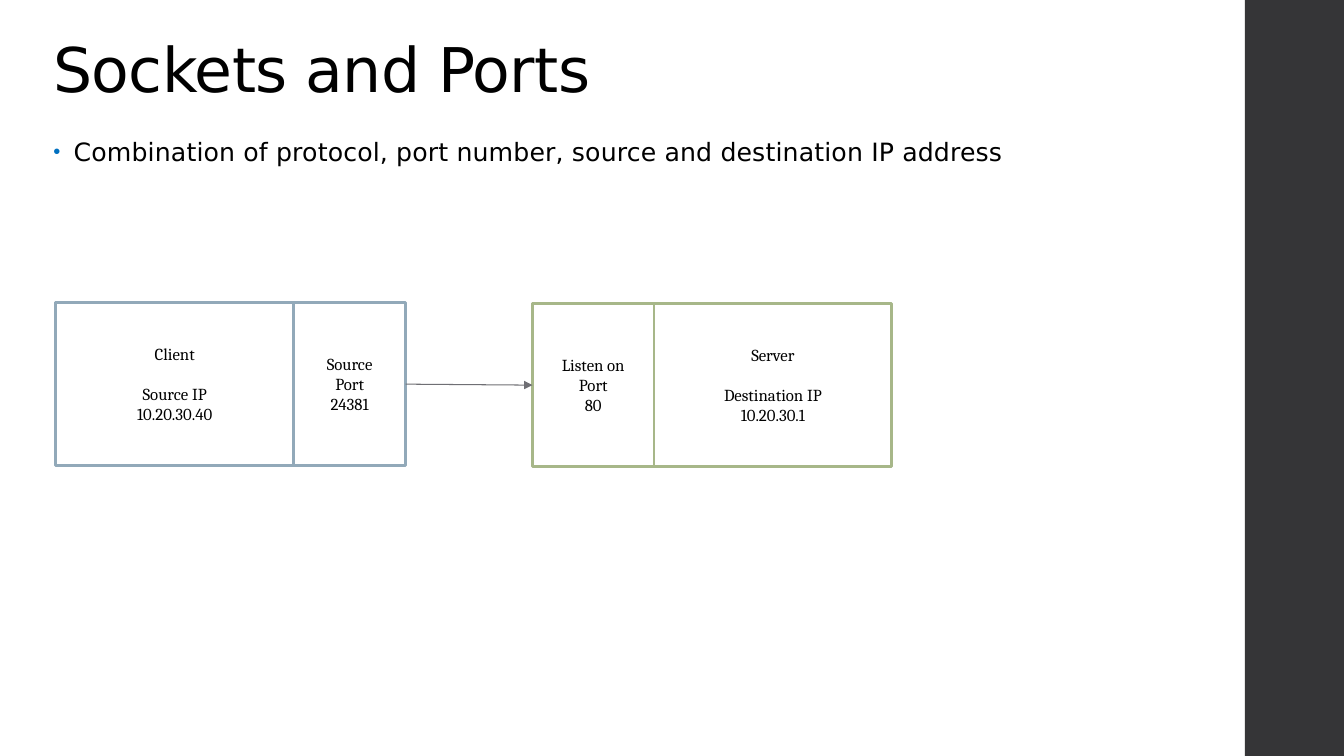
import lxml.etree
import pptx
import pptx.dml.color
import pptx.enum.shapes
import pptx.enum.text
import pptx.oxml.ns
import pptx.util

Pt = pptx.util.Pt
qn = pptx.oxml.ns.qn

TITLE = "Sockets and Ports"
BULLET = "Combination of protocol, port number, source and destination IP address"

# Each host: left, top, outline colour, then its cells as (width, gap after first line, lines)
HOSTS = {
    "client": (39.8, 216, "client", [
        (170, 14, ["Client", "Source IP", "10.20.30.40"]),
        (80, 0, ["Source", "Port", "24381"]),
    ]),
    "server": (380.4, 216.7, "server", [
        (86.7, 0, ["Listen on", "Port", "80"]),
        (170, 14, ["Server", "Destination IP", "10.20.30.1"]),
    ]),
}
CELL_HEIGHT = 116.8

THEME = {
    "text": "000000", "paper": "FFFFFF", "bar": "353537", "bullet": "0070C0",
    "client": "92A9B9", "server": "A7B789", "arrow": "6F6F74",
    "sans": "DejaVu Sans", "serif": "Cambria",
    "title_size": 44, "body_size": 18, "cell_size": 12,
}


def rgb(name):
    return pptx.dml.color.RGBColor.from_string(THEME[name])


def style_run(p, font, size):
    r = p.runs[0]
    r.font.name = THEME[font]
    r.font.size = Pt(THEME[size])
    r.font.color.rgb = rgb("text")
    return r


def place(sp, left, top, width, height):
    sp.left, sp.top, sp.width, sp.height = map(Pt, (left, top, width, height))


def fill_placeholder(sp, text, size, line_spacing, tracking, anchor):
    """Set one left-aligned paragraph; tracking is in hundredths of a point."""
    tf = sp.text_frame
    tf.text = text
    tf.auto_size = pptx.enum.text.MSO_AUTO_SIZE.NONE
    tf.vertical_anchor = anchor
    p = tf.paragraphs[0]
    p.alignment = pptx.enum.text.PP_ALIGN.LEFT
    p.line_spacing = line_spacing
    r = style_run(p, "sans", size)
    r.font._element.set("spc", str(tracking))
    return p


def add_bullet(p):
    p.space_before, p.space_after = Pt(14), Pt(2)
    pPr = p._p.get_or_add_pPr()
    pPr.set("marL", str(Pt(14.4)))
    pPr.set("indent", str(-Pt(14.4)))
    colour = lxml.etree.SubElement(pPr, qn("a:buClr"))
    lxml.etree.SubElement(colour, qn("a:srgbClr"), val=THEME["bullet"])
    lxml.etree.SubElement(pPr, qn("a:buSzPct"), val="80000")
    lxml.etree.SubElement(pPr, qn("a:buChar"), char="•")


def add_box(slide, left, top, width, height, fill):
    sp = slide.shapes.add_shape(pptx.enum.shapes.MSO_SHAPE.RECTANGLE,
                                Pt(left), Pt(top), Pt(width), Pt(height))
    sp.shadow.inherit = False
    sp.fill.solid()
    sp.fill.fore_color.rgb = rgb(fill)
    return sp


def add_host(slide, left, top, colour, cells):
    """Draw adjoining cells from left to right and return them."""
    boxes = []
    for width, gap, lines in cells:
        sp = add_box(slide, left, top, width, CELL_HEIGHT, "paper")
        sp.line.color.rgb = rgb(colour)
        sp.line.width = Pt(2)
        tf = sp.text_frame
        tf.word_wrap = True
        tf.vertical_anchor = pptx.enum.text.MSO_ANCHOR.MIDDLE
        tf.text = "\n".join(lines)
        for p in tf.paragraphs:
            p.alignment = pptx.enum.text.PP_ALIGN.CENTER
            style_run(p, "serif", "cell_size")
        tf.paragraphs[0].space_after = Pt(gap)
        boxes.append(sp)
        left += width
    return boxes


def add_arrow(slide, start, end):
    line = slide.shapes.add_connector(
        pptx.enum.shapes.MSO_CONNECTOR.STRAIGHT, 0, 0, 0, 0)
    line.begin_connect(start, 3)
    line.end_connect(end, 1)
    line.line.color.rgb = rgb("arrow")
    line.line.width = Pt(0.75)
    lxml.etree.SubElement(line.line._get_or_add_ln(), qn("a:tailEnd"), type="triangle")
    lxml.etree.SubElement(line._element.spPr, qn("a:effectLst"))


def main():
    prs = pptx.Presentation()
    prs.slide_width, prs.slide_height = Pt(960), Pt(540)
    slide = prs.slides.add_slide(prs.slide_layouts[1])
    anchors = pptx.enum.text.MSO_ANCHOR

    bar = add_box(slide, 889.2, 0, 70.8, 540, "bar")
    bar.line.fill.background()

    title, body = slide.shapes.title, slide.placeholders[1]
    place(title, 31, 15.8, 831.6, 63.4)
    fill_placeholder(title, TITLE, "title_size", 0.9, -50, anchors.BOTTOM)
    place(body, 31, 95, 831.6, 419.8)
    add_bullet(fill_placeholder(body, BULLET, "body_size", 0.95, 10, anchors.TOP))

    client = add_host(slide, *HOSTS["client"])
    server = add_host(slide, *HOSTS["server"])
    add_arrow(slide, client[-1], server[0])
    prs.save("out.pptx")


if __name__ == "__main__":
    main()
